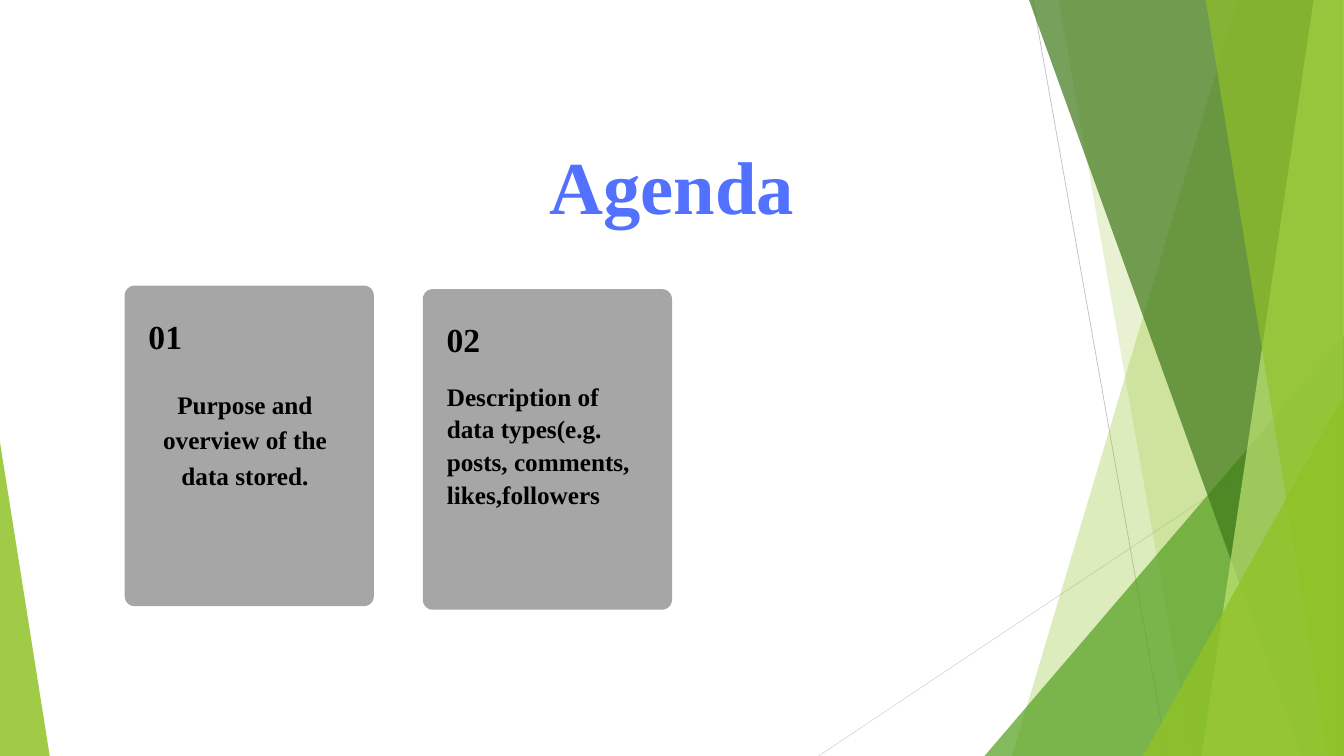
from pptx import Presentation
from pptx.dml.color import RGBColor
from pptx.enum import shapes, text
from pptx.oxml import ns
from pptx.util import Pt
from lxml import etree

BLUE = RGBColor(0x52, 0x71, 0xFF)
BLACK = RGBColor(0, 0, 0)
GRAY = RGBColor(0xA6, 0xA6, 0xA6)
SILVER = RGBColor(0xBF, 0xBF, 0xBF)
PALE = RGBColor(0xD9, 0xD9, 0xD9)
LIME = RGBColor(0x90, 0xC2, 0x26)
GREEN = RGBColor(0x54, 0xA0, 0x21)
DARK = RGBColor(0x3F, 0x78, 0x19)
LIGHT = RGBColor(0xC0, 0xE4, 0x74)

WIDE, HIGH = 1440, 810
EDGE = 1439.5
LEFT, MID = text.PP_ALIGN.LEFT, text.PP_ALIGN.CENTER


class Deck:
    font = "Times New Roman"

    def __init__(self):
        self.file = Presentation()
        self.file.slide_width, self.file.slide_height = Pt(WIDE), Pt(HIGH)
        self.slide = self.file.slides.add_slide(self.file.slide_layouts[5])
        self.items = self.slide.shapes

    def paint(self, shape, color, alpha=100):
        shape.shadow.inherit = False
        shape.line.fill.background()
        shape.fill.solid()
        shape.fill.fore_color.rgb = color
        if alpha < 100:
            tone = shape._element.spPr.find(".//" + ns.qn("a:srgbClr"))
            etree.SubElement(tone, ns.qn("a:alpha"), val=str(alpha * 1000))

    def line(self, x1, y1, x2, y2, color):
        rule = self.items.add_connector(
            shapes.MSO_CONNECTOR.STRAIGHT, Pt(x1), Pt(y1), Pt(x2), Pt(y2))
        rule.line.color.rgb = color
        rule.line.width = Pt(0.75)
        etree.SubElement(rule._element.spPr, ns.qn("a:effectLst"))

    def band(self, top, foot, color, alpha):
        form = self.items.build_freeform(Pt(top), Pt(-0.7))
        form.add_line_segments(
            [(Pt(EDGE), Pt(-0.7)), (Pt(EDGE), Pt(HIGH)), (Pt(foot), Pt(HIGH))])
        self.paint(form.convert_to_shape(), color, alpha)

    def wedge(self, x, y, wide, tip, color, alpha):
        shape = self.items.add_shape(
            shapes.MSO_SHAPE.ISOSCELES_TRIANGLE, Pt(x), Pt(y), Pt(wide), Pt(HIGH - y))
        shape.adjustments[0] = tip
        self.paint(shape, color, alpha)

    def fill(self, shape, box, lines, size, lead, color=BLACK, align=LEFT):
        shape.left, shape.top, shape.width, shape.height = map(Pt, box)
        frame = shape.text_frame
        frame.word_wrap = True
        frame.auto_size = text.MSO_AUTO_SIZE.NONE
        frame.vertical_anchor = text.MSO_ANCHOR.TOP
        frame.margin_left = frame.margin_right = 0
        frame.margin_top = frame.margin_bottom = 0
        for i, words in enumerate(lines):
            para = frame.add_paragraph() if i else frame.paragraphs[0]
            para.alignment = align
            para.line_spacing = Pt(lead)
            run = para.add_run()
            run.text = words
            run.font.name = self.font
            run.font.size = Pt(size)
            run.font.bold = True
            run.font.color.rgb = color

    def title(self, words, box):
        self.fill(self.items.title, box, [words], 80, 96, BLUE, MID)

    def label(self, box, lines, size, lead, align=LEFT):
        shape = self.items.add_textbox(*map(Pt, box))
        self.fill(shape, box, lines, size, lead, align=align)

    def card(self, x, y, number, lines, inset, lead, align):
        wide, high = 267, 343.5
        panel = self.items.add_shape(
            shapes.MSO_SHAPE.ROUNDED_RECTANGLE, Pt(x), Pt(y), Pt(wide), Pt(high))
        panel.adjustments[0] = 0.04
        self.paint(panel, GRAY)
        self.label((x + 25.5, y + 18.7, 57.6, 52.6), [number], 36, 56.5)
        dx, dy, span, tall = inset
        self.label((x + dx, y + dy, span, tall), lines, 27, lead, align)


def main():
    deck = Deck()
    deck.line(1106.6, 0, 1250.6, HIGH, SILVER)
    deck.line(EDGE, 434.9, 877, HIGH, PALE)
    deck.band(1326.2, 1084.3, LIME, 30)
    deck.band(1134, 1277.3, LIME, 20)
    deck.wedge(1054.8, 360, 385.2, 1, GREEN, 72)
    deck.band(1102.3, 1394.6, DARK, 70)
    deck.band(1407.6, 1287.4, LIGHT, 70)
    deck.band(1291.7, 1422.7, LIME, 65)
    deck.wedge(1224.7, 424, 214.8, 1, LIME, 80)
    deck.wedge(0, 473.8, 53.3, 0, LIME, 85)
    deck.title("Agenda", (292.3, 149.8, 855.4, 95.8))
    deck.card(453, 309.8, "02",
              ["Description of data types(e.g. posts, comments, likes,followers"],
              (25.8, 95.6, 213.8, 139), 35.1, LEFT)
    deck.card(133.6, 306, "01", ["Purpose and", "overview of the data stored."],
              (19, 105.8, 219.6, 111.6), 37.8, MID)
    deck.file.save("out.pptx")


if __name__ == "__main__":
    main()
